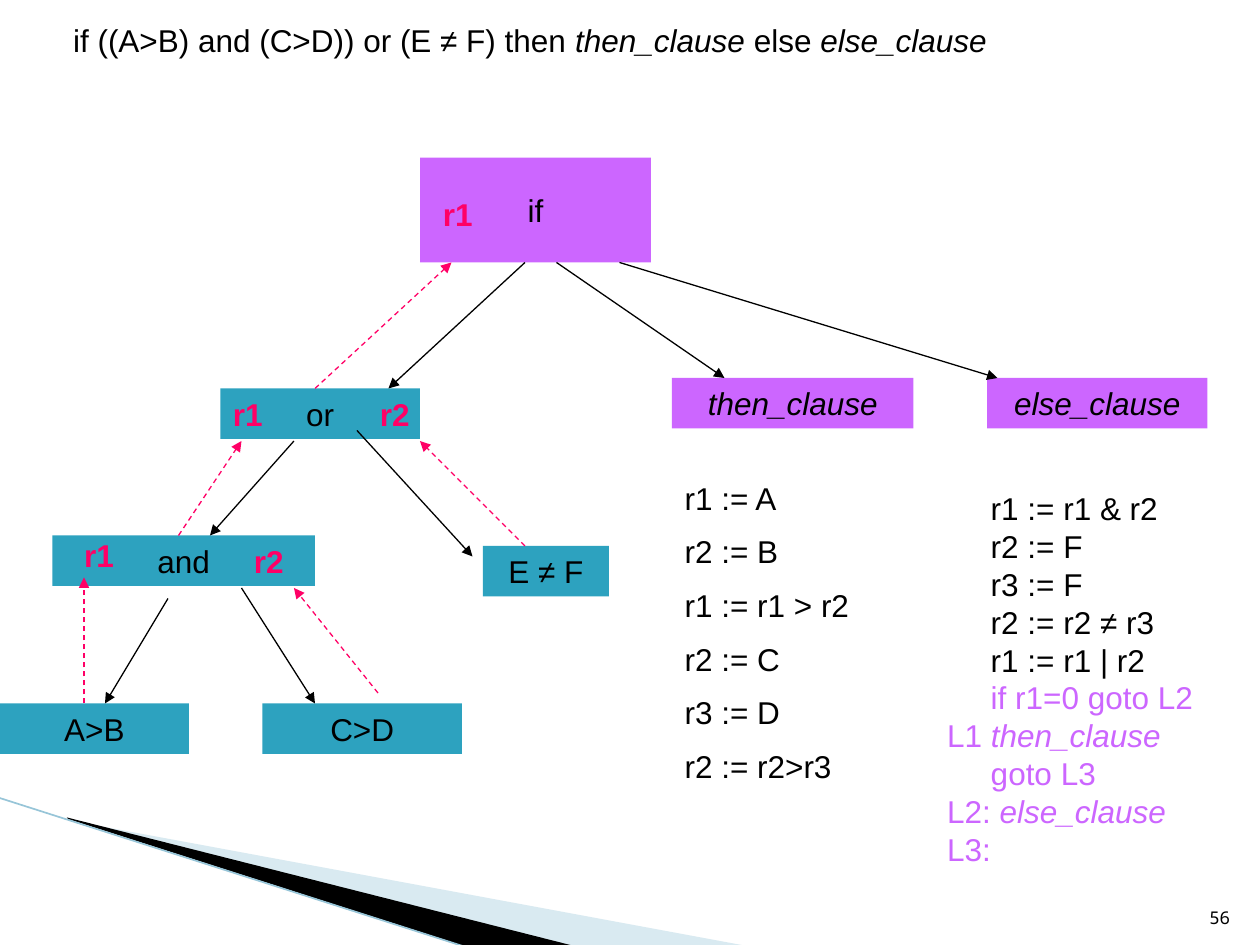
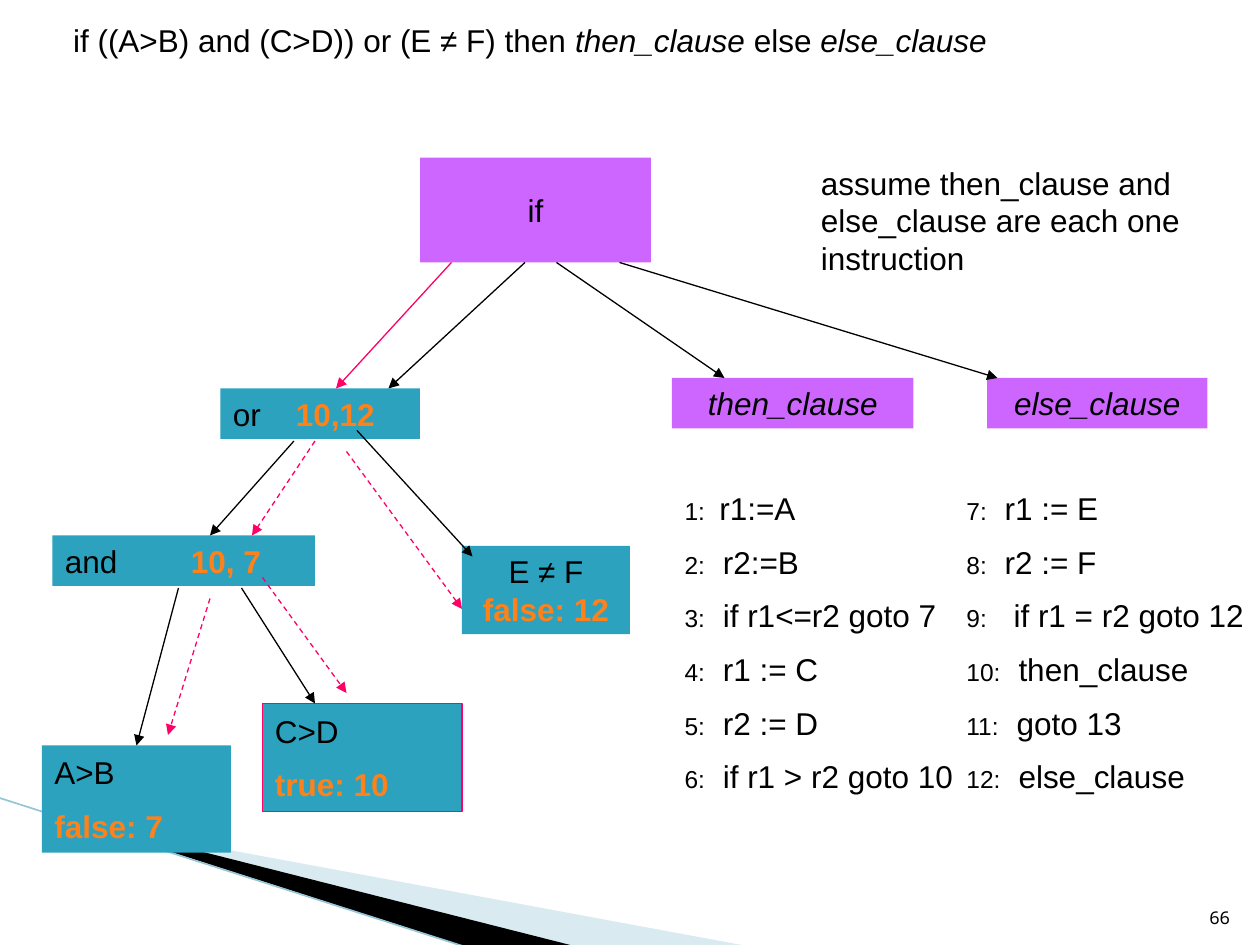
"""Build two slides that show code generation for a conditional expression tree."""
from lxml import etree
from pptx import Presentation
from pptx import util as u
from pptx.dml.color import RGBColor
from pptx.enum import dml, shapes, text
from pptx.oxml import ns

hue = RGBColor.from_string
INK, LILAC, TEAL, PINK, GOLD = "000000", "CC66FF", "2DA2BF", "FF0066", "FF8119"
LEFT, MID, RIGHT = text.PP_ALIGN.LEFT, text.PP_ALIGN.CENTER, text.PP_ALIGN.RIGHT


def grid(n):
    return u.Cm(n * 2.54 / 12)


def write(frame, paras, side=LEFT, gap=9, font="Arial", size=18):
    frame.word_wrap = True
    frame.auto_size = text.MSO_AUTO_SIZE.NONE
    for i, (dent, *runs) in enumerate(paras):
        par = frame.add_paragraph() if i else frame.paragraphs[0]
        par.alignment = side
        par.line_spacing = u.Pt(size * 1.2)
        par.space_before = u.Pt(gap if i else 0)
        prop = par._p.get_or_add_pPr()
        hang = "\t" in runs[0][0]
        prop.set("marL", str(u.Cm(dent)))
        prop.set("indent", str(-u.Cm(dent) if hang else 0))
        etree.SubElement(prop, ns.qn("a:buNone"))
        for word, tint, mark in runs:
            run = par.add_run()
            run.text = word
            run.font.name = font
            run.font.size = u.Pt(14 if mark == "s" else size)
            run.font.bold = mark == "b"
            run.font.italic = mark == "i"
            run.font.color.rgb = hue(tint)


head = [(0, ("if ((A>B) and (C>D)) or (E ≠ F) then", INK, ""), (" then_clause", INK, "i"),
         (" else ", INK, ""), ("else_clause", INK, "i"))]

tops = [
    (40, 15, 22, 10, LILAC, MID, [(0, ("if", INK, ""))]),
    (64, 36, 23, 4.8, LILAC, MID, [(0, ("then_clause", INK, "i"))]),
    (94, 36, 21, 4.8, LILAC, MID, [(0, ("else_clause", INK, "i"))]),
]
links = [
    (50, 25, 37, 37), (53, 25, 69, 36), (59, 25, 95, 36),
    (28, 42, 20, 51), (34, 41, 45, 53), (23, 56, 30, 67),
]

nodes = [
    (21, 37, 19, 4.8, "or"), (5, 51, 25, 4.8, "and"), (0, 67, 18, 4.8, "A>B"),
    (25, 67, 19, 4.8, "C>D"), (46, 52, 12, 4.8, "E ≠ F"),
]
regs = [(6.84, 50.5, "r1"), (23, 51, "r2"), (21, 37, "r1"), (35, 37, "r2"), (41, 18, "r1")]
tree = [(*spot, TEAL, MID, [(0, (name, INK, ""))]) for *spot, name in nodes]
tree += [(x, y, 7, 4.8, None, LEFT, [(0, (name, PINK, "b"))]) for x, y, name in regs]

marks = [
    (21, 37, 19, 4.8, TEAL, LEFT, [(1.27, ("or\t", INK, ""), ("10,12", GOLD, "b"))]),
    (5, 51, 25, 4.8, TEAL, LEFT, [(2.54, ("and\t", INK, ""), ("10, 7", GOLD, "b"))]),
    (4, 71, 18, 10.2, TEAL, LEFT, [(0, ("A>B", INK, "")), (0, ("false: 7", GOLD, "b"))]),
    (25, 67, 19, 10.3, TEAL, LEFT, [(0, ("C>D", INK, "")), (0, ("true: 10", GOLD, "b"))]),
    (44, 52, 16, 8.4, TEAL, MID, [(0, ("E ≠ F ", INK, ""), ("false: 12", GOLD, "b"))]),
    (77, 15, 37, 12, None, LEFT,
     [(0, ("assume then_clause and else_clause are each one instruction", INK, ""))]),
]

steps = ["r1 := A", "r2 := B", "r1 := r1 > r2", "r2 := C", "r3 := D", "r2 := r2>r3"]
rest = ["r1 := r1 & r2", "r2 := F", "r3 := F", "r2 := r2 ≠ r3", "r1 := r1 | r2"]
jumps = [(0.88, (line, INK, "")) for line in rest] + [
    (0.88, ("if r1=0 goto L2", LILAC, "")),
    (0, ("L1 ", LILAC, ""), ("then_clause", LILAC, "i")),
    (0.88, ("goto L3", LILAC, "")),
    (0, ("L2: ", LILAC, ""), ("else_clause", LILAC, "i")),
    (0, ("L3:", LILAC, "")),
]

code = [
    (0.7, "r1:=A"), (0.77, "r2:=B"), (0.77, "if r1<=r2 goto 7"), (0.77, "r1 := C"),
    (0.77, "r2 := D"), (0.77, "if r1 > r2 goto 10"), (0.77, "r1 := E"), (0.77, "r2 := F"),
    (0.95, "if r1 = r2 goto 12"), (1.05, "then_clause"), (1.01, "goto 13"), (1.05, "else_clause"),
]
lines = [(dent, (f"{n}:\t", INK, "s"), (word, INK, ""))
         for n, (dent, word) in enumerate(code, 1)]

pages = [
    ("56", tops + tree, links + [(16, 57, 10, 67)],
     [(8, 67, 8, 55), (36, 66, 28, 56), (17, 51, 23, 42), (50, 52, 40, 42), (30, 37, 43, 25)], [],
     [(64, 45, 21, 32, 9, [(0, (step, INK, "")) for step in steps]),
      (89, 46, 27, 42.7, 0, jumps)]),
    ("66", tops + marks, links + [(17, 56, 13, 71)],
     [(30, 42, 24, 51), (20, 57, 16, 70), (25, 55, 33, 66), (33, 43, 44, 58)],
     [(43, 25, 32, 37)],
     [(64, 46, 28, 32.2, 9, lines[:6]), (90.84, 46, 30, 32.2, 9, lines[6:])]),
]

deck = Presentation()
deck.slide_width, deck.slide_height = u.Cm(25.4), u.Cm(19.05)
base = deck.slide_master.element.cSld.spTree
wedges = [
    ("A0CBDC", 40, [(1.4, 16.54), (15.11, 19.08), (11.58, 19.08), (1.4, 16.51)]),
    (INK, 100, [(1.35, 16.48), (11.61, 19.08), (9.45, 19.1), (1.37, 16.51)]),
]

for page, boxes, solid, dashed, plain, lists in pages:
    slide = deck.slides.add_slide(deck.slide_layouts[3])
    pen = slide.shapes

    rays = [(a, b, c, d, INK, False) for a, b, c, d in solid]
    rays += [(a, b, c, d, PINK, True) for a, b, c, d in dashed]
    rays += [(a, b, c, d, PINK, False) for a, b, c, d in plain]

    if page == "56":
        for tint, part, dots in wedges:
            dots = [(u.Cm(x), u.Cm(y)) for x, y in dots]
            path = pen.build_freeform(*dots[0])
            path.add_line_segments(dots[1:])
            wedge = path.convert_to_shape()
            wedge.shadow.inherit = False
            wedge.fill.solid()
            wedge.fill.fore_color.rgb = hue(tint)
            wedge.line.fill.background()
            shade = wedge.element.spPr.find(".//" + ns.qn("a:srgbClr"))
            etree.SubElement(shade, ns.qn("a:alpha")).set("val", str(part * 1000))
            base.append(wedge.element)
        edge = pen.add_connector(shapes.MSO_CONNECTOR.STRAIGHT,
                                 u.Cm(-0.03), u.Cm(16.08), u.Cm(9.42), u.Cm(19.1))
        edge.line.color.rgb = hue("97C5D8")
        edge.line.width = u.Pt(0.95)
        etree.SubElement(edge.element.spPr, ns.qn("a:effectLst"))
        base.append(edge.element)

    title = pen.title
    title.left, title.top, title.width, title.height = map(grid, (5.76, 1.44, 96, 4.8))
    title.text_frame.vertical_anchor = text.MSO_ANCHOR.TOP
    write(title.text_frame, head)

    for i, (x, y, w, h, gap, paras) in enumerate(lists, 1):
        body = slide.placeholders[i]
        body.left, body.top, body.width, body.height = map(grid, (x, y, w, h))
        write(body.text_frame, paras, gap=gap)

    for x, y, w, h, tint, side, paras in boxes:
        spot = map(grid, (x, y, w, h))
        if tint:
            box = pen.add_shape(shapes.MSO_SHAPE.RECTANGLE, *spot)
            box.shadow.inherit = False
            box.fill.solid()
            box.fill.fore_color.rgb = hue(tint)
            if paras[0][1][0] == "C>D" and len(paras) > 1:
                box.line.color.rgb = hue(PINK)
                box.line.width = u.Pt(0.75)
            else:
                box.line.fill.background()
        else:
            box = pen.add_textbox(*spot)
        write(box.text_frame, paras, side)

    for a, b, c, d, tint, dash in rays:
        ray = pen.add_connector(shapes.MSO_CONNECTOR.STRAIGHT, *map(grid, (a, b, c, d)))
        ray.line.color.rgb = hue(tint)
        ray.line.width = u.Pt(0.75)
        if dash:
            ray.line.dash_style = dml.MSO_LINE.DASH
        tip = etree.SubElement(ray.line._get_or_add_ln(), ns.qn("a:tailEnd"))
        tip.set("type", "triangle")
        etree.SubElement(ray.element.spPr, ns.qn("a:effectLst"))

    foot = pen.add_textbox(u.Cm(24.03), u.Cm(17.81), u.Cm(1.02), u.Cm(1.02))
    foot.text_frame.vertical_anchor = text.MSO_ANCHOR.BOTTOM
    write(foot.text_frame, [(0, (page, INK, ""))], RIGHT, font="Noto Sans Mono", size=10)

deck.save("out.pptx")
